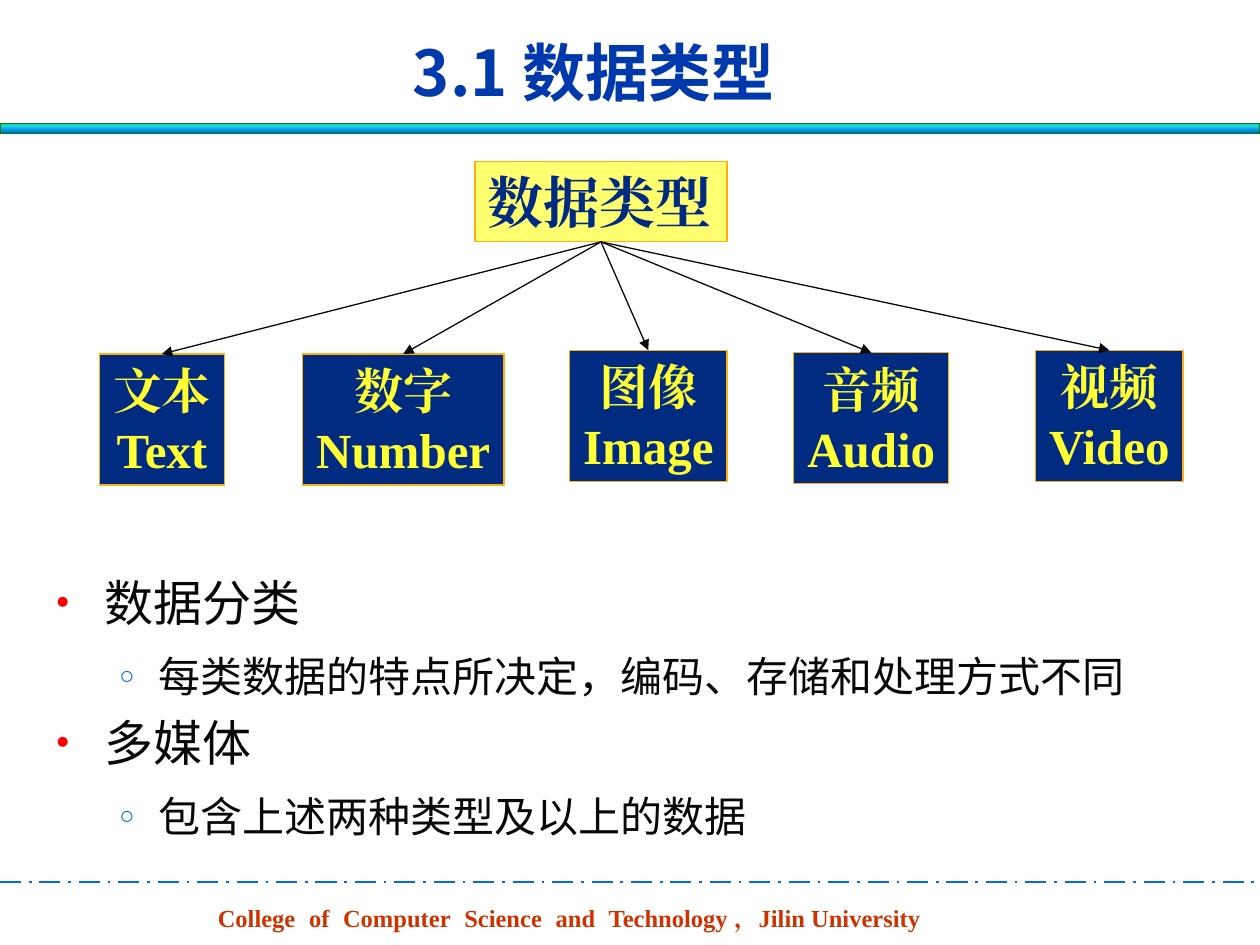
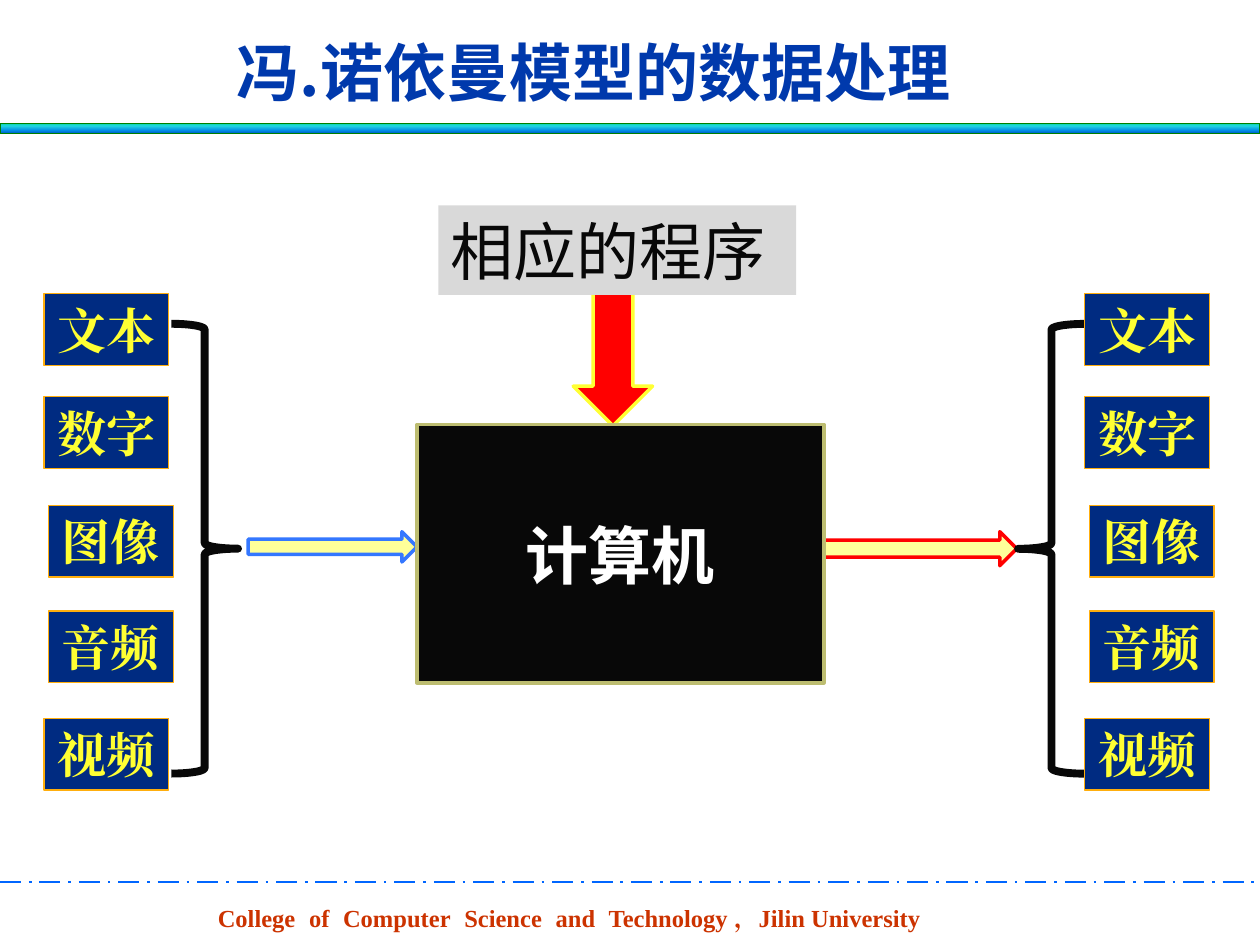
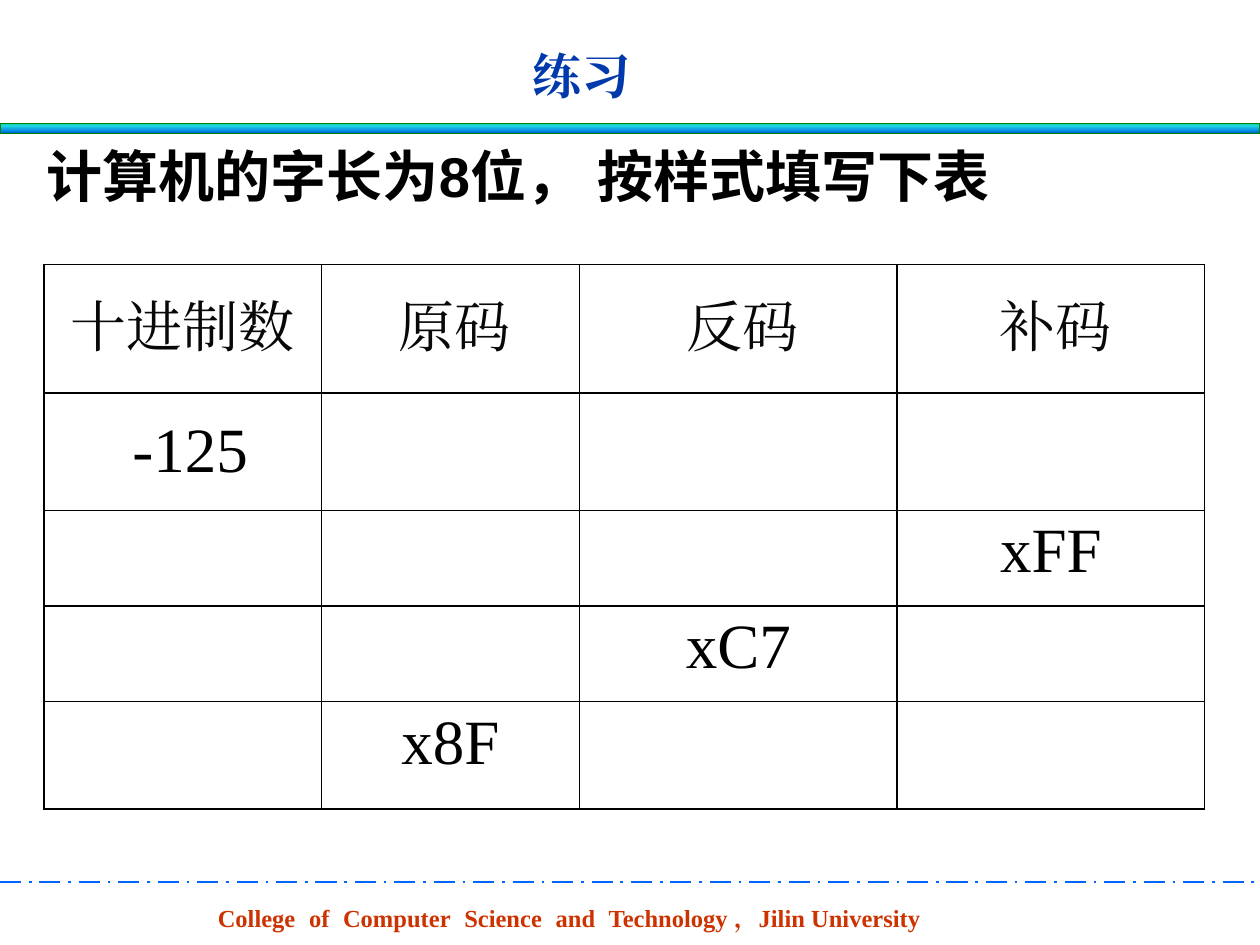
from dataclasses import dataclass
from lxml.etree import SubElement
from pptx import Presentation
from pptx.dml.color import RGBColor
from pptx.enum.dml import MSO_LINE_DASH_STYLE as Dash
from pptx.enum.shapes import MSO_CONNECTOR as Connector, MSO_SHAPE as Shape
from pptx.enum.text import MSO_ANCHOR as Anchor, PP_ALIGN as Align
from pptx.oxml.ns import qn
from pptx.util import Inches, Pt

COLUMNS, ROWS = 100, 75
SERIF, SANS, HEITI = "Times New Roman", "Arial", "Noto Sans CJK SC"
INK, NAVY, YELLOW, ORANGE = "080808", "002B81", "FFFF33", "FFAE0D"
BLUE, TITLE_BLUE, RED, RUST = "0066FF", "0039AC", "FF0000", "CC3300"
CREAM, BLACK, WHITE = "FFFF99", "000000", "FFFFFF"
BAND_STOPS = [(0, "03D4A8"), (25, "21D6E0"), (75, "0087E6"), (100, "005CBF")]
TYPES = [("文本", "Text"), ("数字", "Number"), ("图像", "Image"), ("音频", "Audio"), ("视频", "Video")]


@dataclass
class Type:
    size: float
    font: str
    color: str
    bold: bool = False
    align: Align = Align.LEFT


TITLE = Type(36, HEITI, TITLE_BLUE, True, Align.CENTER)
SUBTITLE = Type(28, SERIF, TITLE_BLUE, True)
QUESTION = Type(32, SANS, BLACK, True)
FOOTER = Type(14, SERIF, RUST, True)
ROOT = Type(32, SERIF, NAVY, True)
LABEL = Type(28, SERIF, YELLOW, True, Align.CENTER)
PROGRAM = Type(36, "Noto Sans CJK JP", INK)
MACHINE = Type(36, SANS, WHITE, True, Align.CENTER)
HEADER = Type(32, SERIF, INK, False, Align.CENTER)
VALUE = Type(36, SERIF, BLACK, False, Align.CENTER)
BULLETS = [
    (Type(28, SANS, INK), "•", RED, 75, 0.38, 0.38),
    (Type(24, SANS, INK), "○", BLUE, 60, 0.81, 0.31),
]


def rgb(value):
    return RGBColor.from_string(value)


class Builder:
    def __init__(self):
        self.deck = Presentation()
        self.deck.slide_width, self.deck.slide_height = Inches(10), Inches(7.5)
        self.page = None

    def x(self, columns):
        return round(self.deck.slide_width * columns / COLUMNS)

    def y(self, rows):
        return round(self.deck.slide_height * rows / ROWS)

    def area(self, column, row, width, height):
        return self.x(column), self.y(row), self.x(width), self.y(height)

    def start(self):
        self.page = self.deck.slides.add_slide(self.deck.slide_layouts[6])
        self.footer()
        self.line((0, 70), (100, 70), BLUE, 1.5).line.dash_style = Dash.LONG_DASH_DOT
        self.band()

    def footer(self):
        box = self.text((16.3, 71.2, 59.2, 3.3), "", FOOTER)
        para = box.text_frame.paragraphs[0]
        for word in "College of Computer Science and".split():
            para.add_run().text = word
            gap = para.add_run()
            gap.text = " "
            gap.font._element.set("spc", "420")
        para.add_run().text = "Technology ，Jilin University"
        self.style(para, FOOTER)

    def band(self):
        band = self.shape(Shape.RECTANGLE, (0, 9.8, 100, 0.8), None, "008000", 0.75)
        band.fill.gradient()
        band.fill.gradient_angle = 270
        stops = band.element.spPr.find(".//" + qn("a:gsLst"))
        for stop in list(stops):
            stops.remove(stop)
        for share, color in BAND_STOPS:
            stop = SubElement(stops, qn("a:gs"), pos=str(share * 1000))
            SubElement(stop, qn("a:srgbClr"), val=color)

    def style(self, para, kind):
        para.alignment = kind.align
        for span in para.runs:
            font = span.font
            font.size, font.bold, font.name = Pt(kind.size), kind.bold, kind.font
            font.color.rgb = rgb(kind.color)
            font._element.set("lang", "zh-CN")
            SubElement(font._element, qn("a:ea"), typeface=kind.font)

    def fill_frame(self, frame, words, kind, wrap=True, anchor=Anchor.MIDDLE):
        frame.text = words
        frame.word_wrap = wrap
        frame.vertical_anchor = anchor
        for para in frame.paragraphs:
            self.style(para, kind)

    def text(self, area, words, kind, wrap=True, anchor=Anchor.MIDDLE):
        box = self.page.shapes.add_textbox(*self.area(*area))
        self.fill_frame(box.text_frame, words, kind, wrap, anchor)
        return box

    def shape(self, preset, area, fill, line, weight=2.0):
        shape = self.page.shapes.add_shape(preset, *self.area(*area))
        shape.shadow.inherit = False
        if fill:
            shape.fill.solid()
            shape.fill.fore_color.rgb = rgb(fill)
        else:
            shape.fill.background()
        if line:
            shape.line.color.rgb = rgb(line)
            shape.line.width = Pt(weight)
        else:
            shape.line.fill.background()
        return shape

    def box(self, area, words, kind, fill, line, weight=0.75, wrap=False):
        box = self.shape(Shape.RECTANGLE, area, fill, line, weight)
        self.fill_frame(box.text_frame, words, kind, wrap)
        return box

    def label(self, area, words):
        return self.box(area, words, LABEL, NAVY, ORANGE)

    def brace(self, column, rotation):
        brace = self.shape(Shape.RIGHT_BRACE, (column, 25.7, 5.3, 35.7), None, INK, 4.5)
        brace.rotation = rotation

    def line(self, start, end, color, weight):
        line = self.page.shapes.add_connector(
            Connector.STRAIGHT, self.x(start[0]), self.y(start[1]), self.x(end[0]), self.y(end[1]))
        line.line.color.rgb = rgb(color)
        line.line.width = Pt(weight)
        SubElement(line.element.spPr, qn("a:effectLst"))
        return line

    def branch(self, parent, child):
        arrow = self.line((0, 0), (1, 1), INK, 0.75)
        arrow.begin_connect(parent, 2)
        arrow.end_connect(child, 0)
        SubElement(arrow.element.spPr.find(qn("a:ln")), qn("a:tailEnd"), type="triangle")

    def bullets(self, area, items):
        frame = self.text(area, "\n".join(words for _, words in items), BULLETS[0][0],
                          anchor=Anchor.TOP).text_frame
        for index, (para, (level, words)) in enumerate(zip(frame.paragraphs, items)):
            kind, mark, color, size, left, hang = BULLETS[level]
            para.text = words
            para.level = level
            para.line_spacing = Pt(36)
            if index:
                para.space_before = Pt(4)
            props = para._p.get_or_add_pPr()
            props.set("marL", str(Inches(left)))
            props.set("indent", str(-Inches(hang)))
            SubElement(SubElement(props, qn("a:buClr")), qn("a:srgbClr"), val=color)
            SubElement(props, qn("a:buSzPct"), val=str(size * 1000))
            SubElement(props, qn("a:buFont"), typeface=SANS)
            SubElement(props, qn("a:buChar"), char=mark)
            self.style(para, kind)

    def borders(self, cell):
        props = cell._tc.get_or_add_tcPr()
        for index, side in enumerate(("a:lnL", "a:lnR", "a:lnT", "a:lnB")):
            edge = SubElement(props, qn(side), w=str(Pt(1)))
            SubElement(SubElement(edge, qn("a:solidFill")), qn("a:srgbClr"), val=BLACK)
            props.insert(index, edge)

    def table(self, area, widths, heights, rows):
        table = self.page.shapes.add_table(len(heights), len(widths), *self.area(*area)).table
        table.first_row = table.horz_banding = False
        for column, width in zip(table.columns, widths):
            column.width = self.x(width)
        for index, (row, height, values) in enumerate(zip(table.rows, heights, rows)):
            row.height = self.y(height)
            for cell, words in zip(row.cells, values):
                cell.fill.background()
                self.borders(cell)
                cell.text = words
                cell.vertical_anchor = Anchor.TOP if index > 1 else Anchor.MIDDLE
                self.style(cell.text_frame.paragraphs[0], VALUE if index else HEADER)
        return table


def type_tree(builder):
    builder.start()
    builder.text((14.4, 2.1, 65.4, 7.1), "3.1 数据类型", TITLE)
    root = builder.box((37.7, 12.8, 20, 6.4), "数据类型", ROOT, "FFFF70", ORANGE)
    builder.bullets((3.5, 44.6, 93.4, 24.4), [
        (0, "数据分类"),
        (1, "每类数据的特点所决定，编码、存储和处理方式不同"),
        (0, "多媒体"),
        (1, "包含上述两种类型及以上的数据"),
    ])
    places = [(7.9, 28.1, 9.9), (24, 28.1, 16), (45.2, 27.8, 12.5), (63, 28, 12.3), (82.2, 27.8, 11.7)]
    leaves = [builder.label((*place, 10.4), "\n".join(names)) for place, names in zip(places, TYPES)]
    for leaf in leaves:
        builder.branch(root, leaf)


def processing_model(builder):
    builder.start()
    builder.text((14.4, 2.1, 65.4, 7.1), "冯.诺依曼模型的数据处理", TITLE)
    builder.shape(Shape.RIGHT_ARROW, (19.7, 42.2, 13.4, 2.4), CREAM, "3477FF")
    builder.shape(Shape.RIGHT_ARROW, (65, 42.2, 15.7, 2.7), CREAM, RED)
    builder.shape(Shape.DOWN_ARROW, (45.5, 23.2, 6.3, 10.6), RED, YELLOW)
    builder.box((34.8, 16.3, 28.4, 7.1), "相应的程序", PROGRAM, "D9D9D9", None, wrap=True)
    builder.box((33.1, 33.7, 32.3, 20.5), "计算机", MACHINE, INK, "BDBD71", 2, True)
    builder.brace(13.6, 0)
    builder.brace(80.8, 180)
    tops, shifts = [23.3, 31.5, 40.1, 48.5, 57], [0, 0, 0.35, 0.35, 0]
    for left in (3.5, 86.1):
        for (name, _), top, shift in zip(TYPES, tops, shifts):
            builder.label((left + shift, top, 9.9, 5.7), name)


def exercise(builder):
    builder.start()
    builder.text((2.7, 10.7, 93.7, 8.5), "计算机的字长为8位， 按样式填写下表", QUESTION, anchor=Anchor.TOP)
    table = builder.table((3.5, 21, 92.1, 43.3), [22, 20.5, 25.2, 24.4], [10.2, 9.3, 7.6, 7.6, 8.5], [
        ("十进制数", "原码", "反码", "补码"),
        ("-125", "", "", ""),
        ("", "", "", "xFF"),
        ("", "", "xC7", ""),
        ("", "x8F", "", ""),
    ])
    table.cell(1, 0).margin_left = builder.x(2.2)
    for column in range(1, 4):
        table.cell(0, column).margin_left = builder.x(1.7)
    builder.text((41.3, 3.1, 9.8, 5.7), "练习", SUBTITLE, wrap=False)


def main():
    builder = Builder()
    for build in (type_tree, processing_model, exercise):
        build(builder)
    builder.deck.save("out.pptx")


if __name__ == "__main__":
    main()
